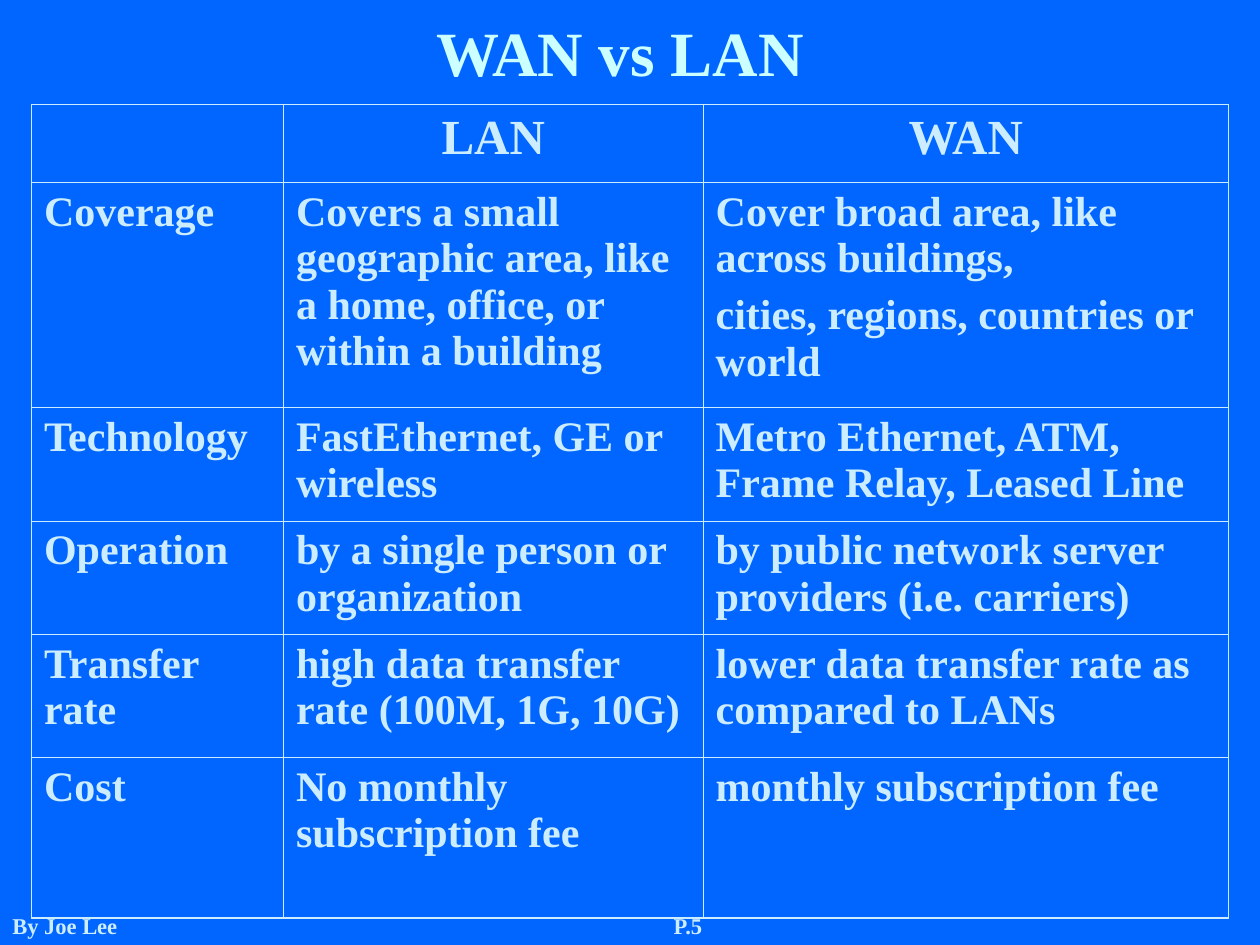
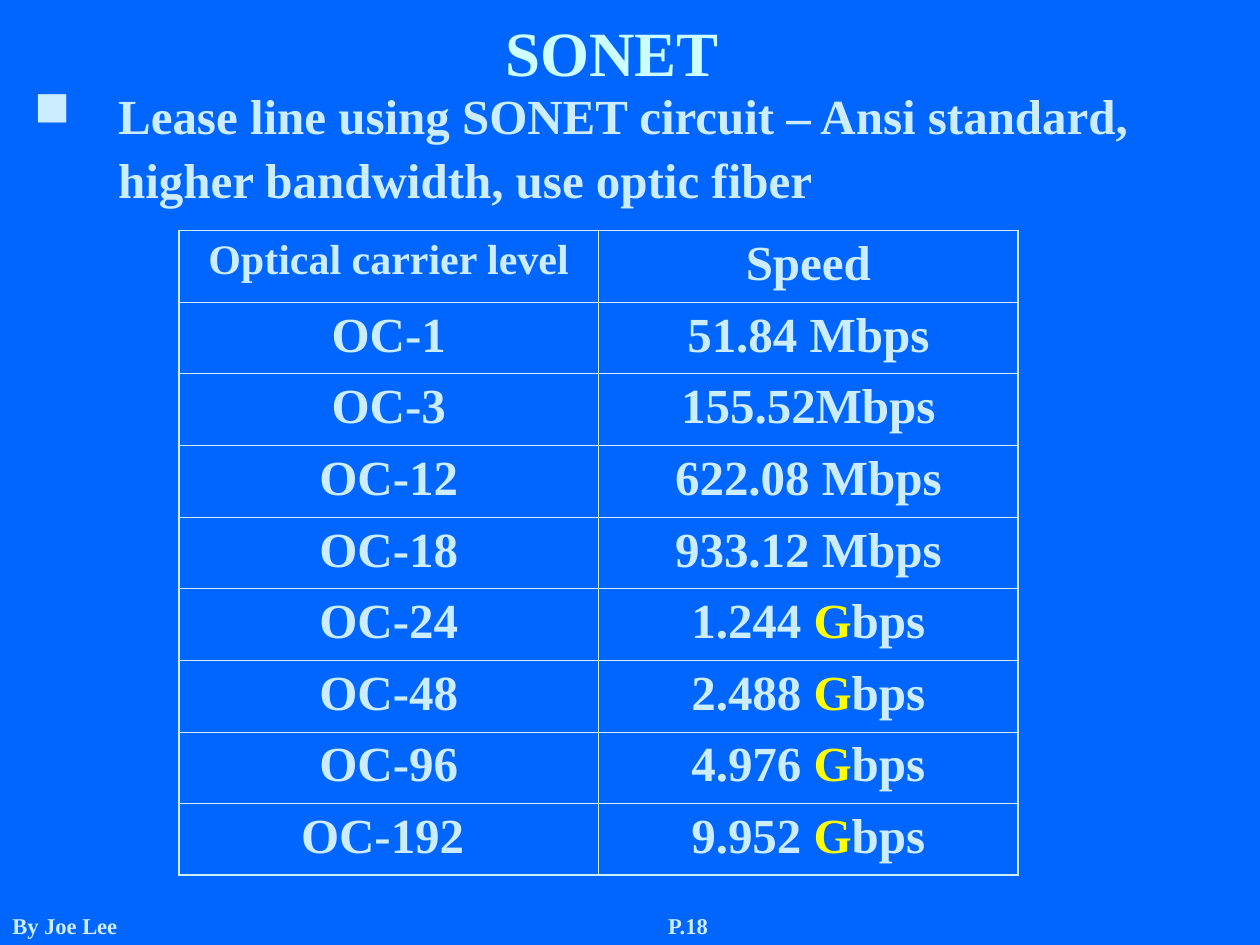
from lxml import etree
from pptx import Presentation
from pptx.dml.color import RGBColor
from pptx.enum.text import MSO_ANCHOR as ANCHOR, PP_ALIGN as ALIGN
from pptx.oxml.ns import qn
from pptx.util import Inches, Pt


def rgb(hex_color):
    return RGBColor.from_string(hex_color)


class Deck:
    FONT = "Times New Roman"
    BACK, TEXT, TITLE, ACCENT = "0066FF", "CCECFF", "CCFFFF", "FFFF00"
    OUTER, INNER = 1.08, 0.45

    def __init__(self):
        self.prs = Presentation()
        self.prs.slide_width, self.prs.slide_height = Inches(10), Inches(7.5)
        fill = self.prs.slide_master.background.fill
        fill.solid()
        fill.fore_color.rgb = rgb(self.BACK)

    def new_slide(self, page):
        self.s = self.prs.slides.add_slide(self.prs.slide_layouts[6])
        self.text("By Joe Lee", 0, 6.83, 3.17, 0.67, 12.9, anchor=ANCHOR.BOTTOM)
        self.text(f"P.{page}", 4.42, 6.83, 2.08, 0.67, 12.9,
                  align=ALIGN.CENTER, anchor=ANCHOR.BOTTOM)

    def style(self, p, size, color=TEXT, align=ALIGN.LEFT):
        p.alignment = align
        font = p.font
        font.name, font.size, font.bold = self.FONT, Pt(size), True
        font.color.rgb = rgb(color)

    def text(self, text, x, y, w, h, size, color=TEXT, align=ALIGN.LEFT,
             anchor=ANCHOR.TOP, spacing=1.0):
        sp = self.s.shapes.add_textbox(Inches(x), Inches(y), Inches(w), Inches(h))
        tf = sp.text_frame
        tf.word_wrap, tf.vertical_anchor = True, anchor
        p = tf.paragraphs[0]
        p.text, p.line_spacing = text, spacing
        self.style(p, size, color, align)
        return p

    def title(self, text, x, w, h):
        self.text(text, x, 0, w, h, 36, self.TITLE, ALIGN.CENTER, spacing=1.1)

    def bullet(self, text, x, y, w, h):
        p = self.text(text, x, y, w, h, 28, spacing=1.1)
        indent = Inches(0.67)
        pPr = p._p.get_or_add_pPr()
        pPr.set("marL", str(indent))
        pPr.set("indent", str(-indent))
        mark = etree.Element(qn("a:buChar"), char="■")
        pPr.find(qn("a:defRPr")).addprevious(mark)

    def table(self, rows, x, y, widths, heights, styles):
        """Draw rows of text; styles(row, col) gives the size and alignment of a cell."""
        tbl = self.s.shapes.add_table(
            len(rows), len(widths), Inches(x), Inches(y),
            Inches(sum(widths)), Inches(sum(heights))).table
        tbl.first_row = tbl.horz_banding = False
        for col, w in zip(tbl.columns, widths):
            col.width = Inches(w)
        for row, h in zip(tbl.rows, heights):
            row.height = Inches(h)
        last_row, last_col = len(rows) - 1, len(widths) - 1
        for i, row in enumerate(rows):
            for j, text in enumerate(row):
                cell = tbl.cell(i, j)
                self.cell_text(cell, text, *styles(i, j))
                self.borders(cell, L=j == 0, R=j == last_col,
                             T=i == 0, B=i == last_row)
                cell.fill.background()

    def cell_text(self, cell, text, size, align):
        """Start a paragraph at each line break; parts between bars are accented."""
        tf = cell.text_frame
        for n, line in enumerate(text.split("\n")):
            p = tf.add_paragraph() if n else tf.paragraphs[0]
            p.space_before = Pt(size / 4)
            self.style(p, size, align=align)
            for k, part in enumerate(line.split("|")):
                if part:
                    r = p.add_run()
                    r.text = part
                    if k % 2:
                        r.font.color.rgb = rgb(self.ACCENT)

    def borders(self, cell, **outer):
        tcPr = cell._tc.get_or_add_tcPr()
        for side, is_outer in outer.items():
            width = Pt(self.OUTER if is_outer else self.INNER)
            ln = etree.SubElement(tcPr, qn(f"a:ln{side}"), w=str(width))
            fill = etree.SubElement(ln, qn("a:solidFill"))
            etree.SubElement(fill, qn("a:srgbClr"), val=self.TEXT)


COMPARISON = [
    ("", "LAN", "WAN"),
    ("Coverage",
     "Covers a small geographic area, like a home, office, or within a building",
     "Cover broad area, like across buildings,\ncities, regions, countries or world"),
    ("Technology", "FastEthernet, GE or wireless",
     "Metro Ethernet, ATM, Frame Relay, Leased Line"),
    ("Operation", "by a single person or organization",
     "by public network server providers (i.e. carriers)"),
    ("Transfer rate", "high data transfer rate (100M, 1G, 10G)",
     "lower data transfer rate as compared to LANs"),
    ("Cost", "No monthly subscription fee", "monthly subscription fee"),
]

CARRIERS = [
    ("Optical carrier level", "Speed"),
    ("OC-1", "51.84 Mbps"),
    ("OC-3", "155.52Mbps"),
    ("OC-12", "622.08 Mbps"),
    ("OC-18", "933.12 Mbps"),
    ("OC-24", "1.244 |G|bps"),
    ("OC-48", "2.488 |G|bps"),
    ("OC-96", "4.976 |G|bps"),
    ("OC-192 ", "9.952 |G|bps"),
]


def comparison_style(row, col):
    return (24, ALIGN.LEFT) if row else (28, ALIGN.CENTER)


def carrier_style(row, col):
    return (24 if row == col == 0 else 28), ALIGN.CENTER


def main():
    deck = Deck()

    deck.new_slide(5)
    deck.title("WAN vs LAN", 0.67, 8.5, 0.5)
    deck.table(COMPARISON, 0.25, 0.83, [2, 3.33, 4.17],
               [0.62, 1.78, 0.9, 0.9, 0.98, 1.27], comparison_style)

    deck.new_slide(18)
    deck.title("SONET ", -0.17, 10.17, 0.67)
    deck.bullet("Lease line using SONET circuit – Ansi standard, "
                "higher bandwidth, use optic fiber", 0.17, 0.58, 9.83, 5.92)
    row_height = 5.12 / len(CARRIERS)
    deck.table(CARRIERS, 1.42, 1.83, [3.33] * 2,
               [row_height] * len(CARRIERS), carrier_style)

    deck.prs.save("out.pptx")


if __name__ == "__main__":
    main()
